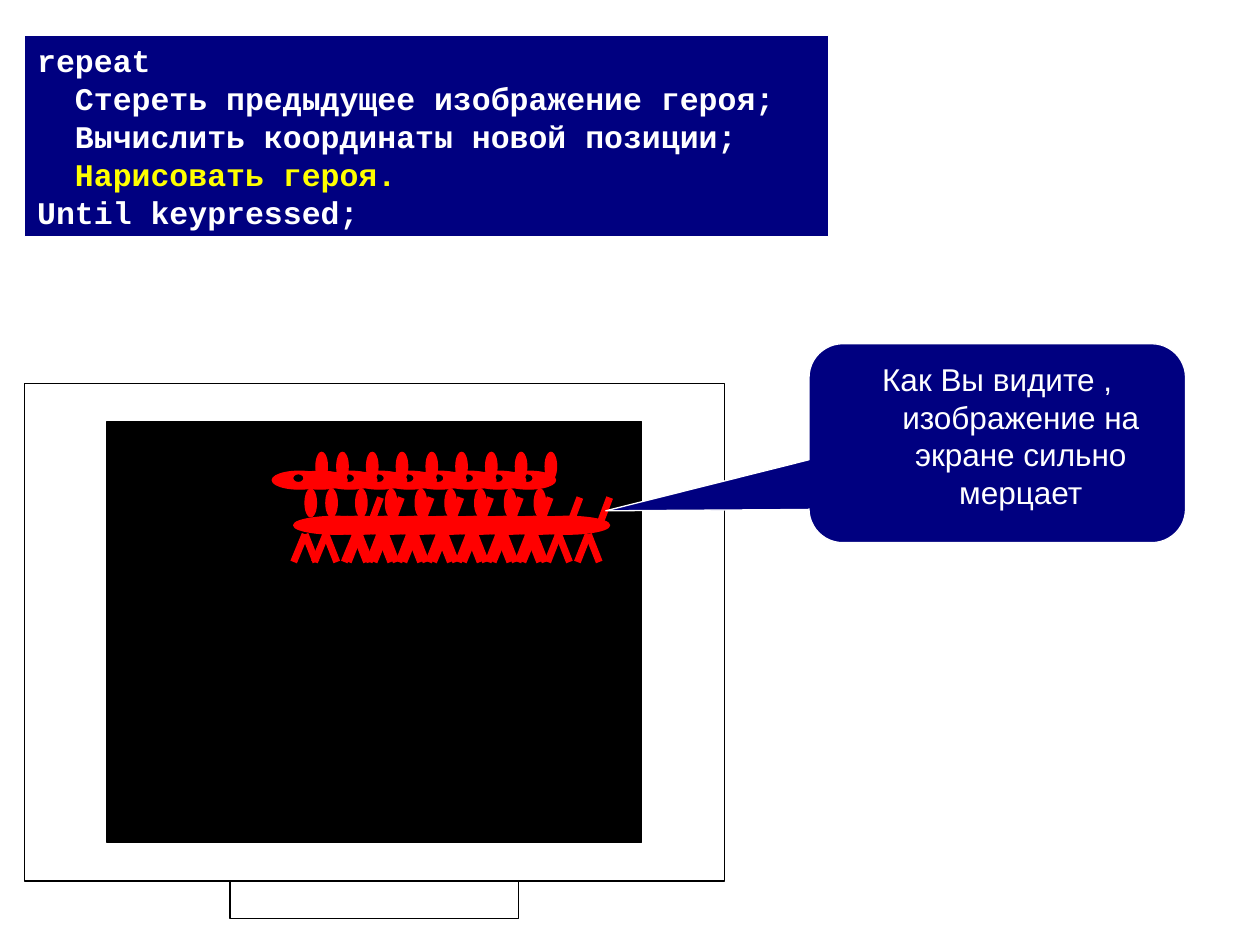
from pptx import Presentation
from pptx.dml.color import RGBColor
from pptx.enum.shapes import MSO_CONNECTOR, MSO_SHAPE
from pptx.enum.text import MSO_ANCHOR, MSO_AUTO_SIZE, PP_ALIGN
from pptx.oxml.ns import qn
from pptx.util import Cm, Pt

RECTANGLE = MSO_SHAPE.RECTANGLE
OVAL = MSO_SHAPE.OVAL
CALLOUT = MSO_SHAPE.ROUNDED_RECTANGULAR_CALLOUT
STRAIGHT = MSO_CONNECTOR.STRAIGHT

WHITE, BLACK, RED, NAVY, YELLOW = "FFFFFF", "000000", "FF0000", "000080", "FFFF00"

CODE_LINES = [
    ("repeat", WHITE),
    ("  Стереть предыдущее изображение героя;", WHITE),
    ("  Вычислить координаты новой позиции;", WHITE),
    ("  Нарисовать героя.", YELLOW),
    ("Until keypressed;", WHITE),
]
CALLOUT_LINES = [("Как Вы видите , изображение на экране сильно мерцает", WHITE)]

# Hero parts in cm, measured from the left edge of the head and the top of the ear
HEAD, NECK, BODY = (0, 0.38, 1.09, 0.36), (0.66, 0.74, 0.23, 0.56), (0.43, 1.29, 1.75, 0.36)
EYE, EAR = (0.41, 0.43, 0.23, 0.18), (0.88, 0, 0.23, 0.56)
LIMBS = [
    (0.66, 1.65, 0.43, 2.21),
    (1.75, 1.65, 1.53, 2.21),
    (1.75, 1.65, 1.97, 2.21),
    (0.66, 1.65, 0.88, 2.21),
    (2.18, 0.91, 1.97, 1.47),
]
HERO_TOP = 9.12
FIRST_HERO, HERO_STEP, LAST_HERO = 10.11, 0.6, 5.49


def color(value):
    return RGBColor.from_string(value)


def add_block(shapes, kind, box, fill, line):
    shape = shapes.add_shape(kind, *(Cm(length) for length in box))
    shape.shadow.inherit = False
    shape.fill.solid()
    shape.fill.fore_color.rgb = color(fill)
    shape.line.color.rgb = color(line)
    shape.line.width = Pt(0.75)
    return shape


def add_limb(shapes, ends):
    limb = shapes.add_connector(STRAIGHT, *(Cm(length) for length in ends))
    limb.line.color.rgb = color(RED)
    limb.line.width = Pt(4)
    properties = limb._element.spPr
    properties.append(properties.makeelement(qn("a:effectLst"), {}))


def add_hero(slide, left):
    shapes = slide.shapes.add_group_shape().shapes

    def add_part(box, fill=RED):
        x, y, width, height = box
        add_block(shapes, OVAL, (left + x, HERO_TOP + y, width, height), fill, RED)

    for box in (HEAD, NECK, BODY):
        add_part(box)
    for x1, y1, x2, y2 in LIMBS:
        add_limb(shapes, (left + x1, HERO_TOP + y1, left + x2, HERO_TOP + y2))
    add_part(EYE, BLACK)
    add_part(EAR)


def add_monitor(slide):
    shapes = slide.shapes.add_group_shape().shapes
    add_block(shapes, RECTANGLE, (0.5, 7.73, 14.1, 10.03), WHITE, BLACK)
    add_block(shapes, RECTANGLE, (4.64, 17.76, 5.82, 0.76), WHITE, BLACK)
    add_block(shapes, RECTANGLE, (2.16, 8.5, 10.77, 8.48), BLACK, BLACK)


def write_lines(shape, lines, font_name, bold, alignment):
    frame = shape.text_frame
    frame.word_wrap = True
    frame.vertical_anchor = MSO_ANCHOR.TOP
    for index, (text, text_color) in enumerate(lines):
        paragraph = frame.add_paragraph() if index else frame.paragraphs[0]
        paragraph.alignment = alignment
        paragraph.line_spacing = Pt(21.6)
        properties = paragraph._p.get_or_add_pPr()
        properties.set("marL", str(Cm(0.95)))
        properties.set("indent", str(-Cm(0.95)))
        run = paragraph.add_run()
        run.text = text
        run.font.name = font_name
        run.font.size = Pt(18)
        run.font.bold = bold
        run.font.color.rgb = color(text_color)


def add_callout(slide):
    callout = add_block(slide.shapes, CALLOUT, (16.31, 6.93, 7.59, 4.01), NAVY, WHITE)
    for index, value in enumerate((-1.04, 0.34, 0.17)):
        callout.adjustments[index] = value
    write_lines(callout, CALLOUT_LINES, "Arial", False, PP_ALIGN.CENTER)


def add_code(slide):
    code = add_block(slide.shapes, RECTANGLE, (0.5, 0.71, 16.2, 4.06), NAVY, WHITE)
    write_lines(code, CODE_LINES, "Courier New", True, PP_ALIGN.LEFT)
    code.text_frame.auto_size = MSO_AUTO_SIZE.SHAPE_TO_FIT_TEXT


def main():
    presentation = Presentation()
    presentation.slide_width = Cm(25.4)
    presentation.slide_height = Cm(19.05)
    slide = presentation.slides.add_slide(presentation.slide_layouts[6])

    # Monitor with the newest hero
    add_monitor(slide)
    add_hero(slide, FIRST_HERO)

    # Remark and algorithm
    add_callout(slide)
    add_code(slide)

    # Trail of earlier hero positions
    for step in range(1, 8):
        add_hero(slide, FIRST_HERO - step * HERO_STEP)
    add_hero(slide, LAST_HERO)

    presentation.save("out.pptx")


if __name__ == "__main__":
    main()
